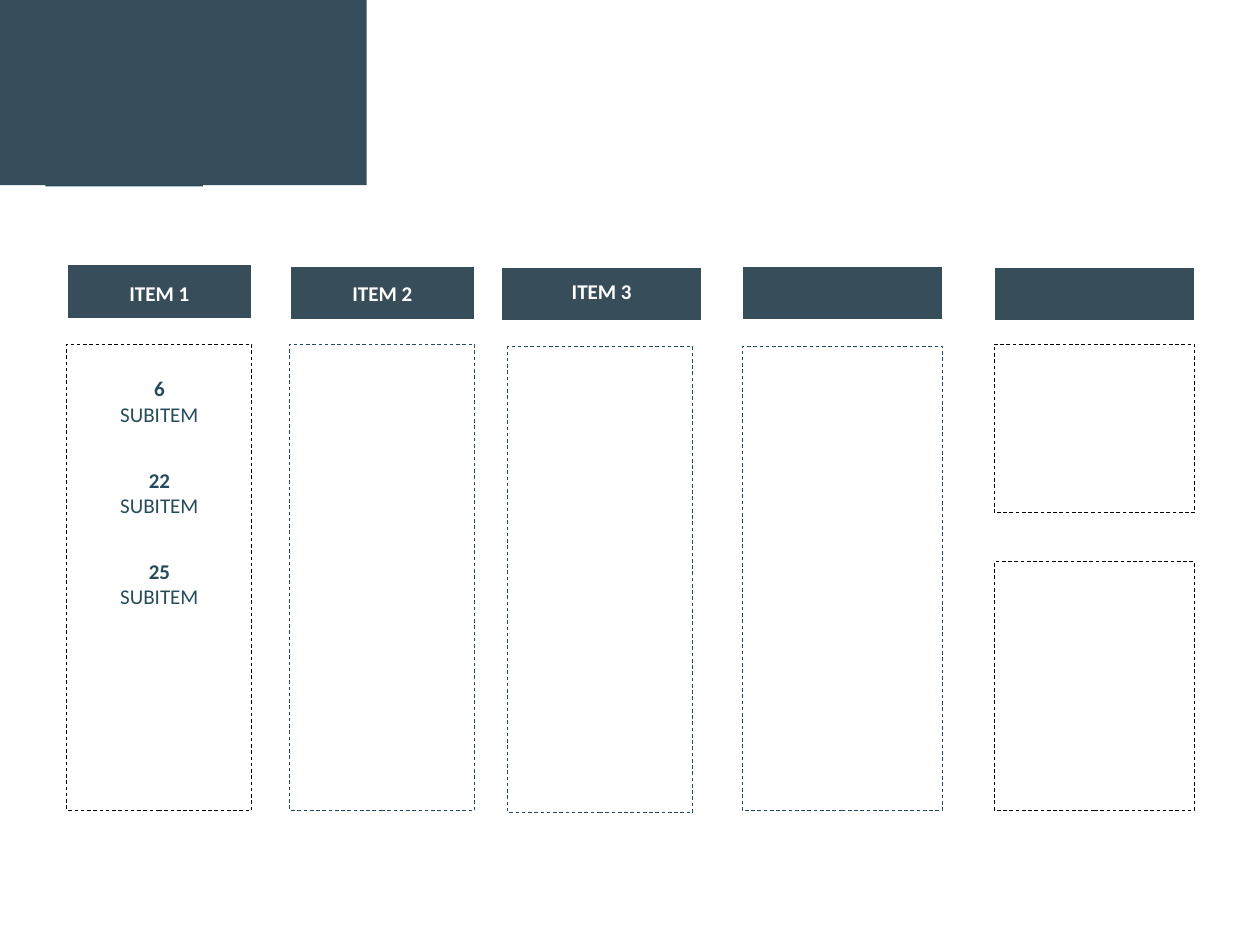
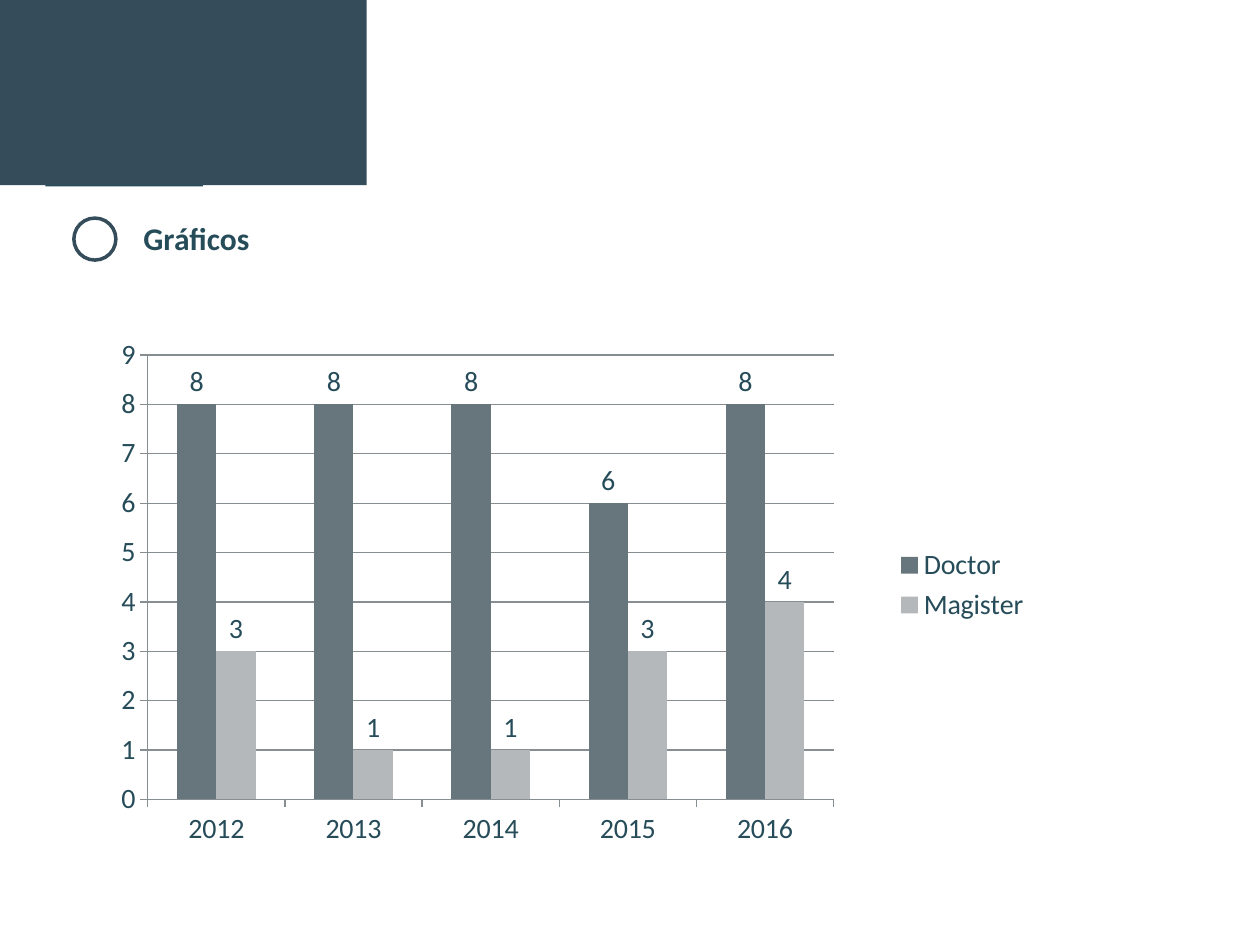
from lxml import etree
from pptx import Presentation
from pptx.chart.data import CategoryChartData
from pptx.dml.color import RGBColor
from pptx.enum.chart import XL_CHART_TYPE, XL_LABEL_POSITION, XL_LEGEND_POSITION, XL_TICK_MARK
from pptx.enum.dml import MSO_LINE
from pptx.enum.shapes import MSO_SHAPE
from pptx.enum.text import MSO_ANCHOR, PP_ALIGN
from pptx.oxml.ns import qn
from pptx.util import Pt

RECT, OVAL = MSO_SHAPE.RECTANGLE, MSO_SHAPE.OVAL
DASH, TOP = MSO_LINE.DASH, MSO_ANCHOR.TOP
LEFT, CENTER = PP_ALIGN.LEFT, PP_ALIGN.CENTER
COLUMN, RIGHT = XL_CHART_TYPE.COLUMN_CLUSTERED, XL_LEGEND_POSITION.RIGHT
ABOVE, OUT = XL_LABEL_POSITION.OUTSIDE_END, XL_TICK_MARK.OUTSIDE
FONT = "Calibri"
COLORS = {
    "band": "354D5A", "head": "374D59", "ink": "264C59", "white": "FFFFFF",
    "black": "000000", "doctor": "67757C", "master": "B5B8BB", "grid": "868E92",
}
COLUMNS = [
    {"head": (38.2, 151.2, 105.8), "boxes": [(38.2, 196.6, 105.8, 266.4)],
     "line": "black", "label": ("ITEM 1", 157)},
    {"head": (165.6, 152, 105.8), "boxes": [(165.6, 196.6, 105.8, 266.4)],
     "line": "ink", "label": ("ITEM 2", 157)},
    {"head": (286.6, 152.6, 114.5), "boxes": [(290.2, 198, 105.8, 266.4)],
     "line": "ink", "label": ("ITEM 3", 155.6)},
    {"head": (424.1, 152, 114.5), "boxes": [(424.1, 198, 114.5, 265)], "line": "ink"},
    {"head": (568.1, 152.6, 114.5), "line": "black",
     "boxes": [(568.1, 196.6, 114.5, 96.5), (568.1, 321.1, 114.5, 141.9)]},
]
COUNTS = ["6", "22", "25"]
YEARS = ["2012", "2013", "2014", "2015", "2016"]
SERIES = [("Doctor", [8, 8, 8, 6, 8], "doctor"), ("Magister", [3, 1, 1, 3, 4], "master")]
PLOT = {"x": 0.06, "y": 0.06, "w": 0.72, "h": 0.85}


def tint(name):
    """Return the named colour."""
    return RGBColor.from_string(COLORS[name])


def style(font, size, color, bold=False):
    """Set the face, size, colour and weight of a font."""
    font.name, font.size, font.bold = FONT, Pt(size), bold
    font.color.rgb = tint(color)


def shape(slide, box, fill=None, line=None, width=1, dash=None, kind=RECT):
    """Draw a preset shape in the box."""
    item = slide.shapes.add_shape(kind, *map(Pt, box))
    item.shadow.inherit = False
    if fill:
        item.fill.solid()
        item.fill.fore_color.rgb = tint(fill)
    else:
        item.fill.background()
    if line:
        item.line.color.rgb = tint(line)
        item.line.width = Pt(width)
        item.line.dash_style = dash
    else:
        item.line.fill.background()
    return item


def label(slide, box, text, size, color, align=LEFT):
    """Write one bold line in the box."""
    frame = slide.shapes.add_textbox(*map(Pt, box)).text_frame
    frame.word_wrap = True
    frame.text = text
    para = frame.paragraphs[0]
    para.alignment = align
    style(para.runs[0].font, size, color, True)


def page(deck):
    """Add a blank slide with the corner band."""
    slide = deck.slides.add_slide(deck.slide_layouts[6])
    shape(slide, (25.9, 58.3, 90, 48.2), "ink")
    shape(slide, (0, 0, 209.5, 105.8), "band")
    return slide


def column(slide, head, boxes, line, label_at):
    """Draw a header over its dashed boxes and return the boxes."""
    left, top, width = head
    shape(slide, (left, top, width, 31), "head", "white")
    frames = [shape(slide, box, None, line, 0.5, DASH) for box in boxes]
    if label_at:
        text, high = label_at
        wide = 62.6
        label(slide, (left + (width - wide) / 2, high, wide, 21.6), text, 12, "white", CENTER)
    return frames


def counts(box):
    """List the counts and their captions in the box."""
    frame = box.text_frame
    frame.word_wrap = True
    frame.vertical_anchor = TOP
    frame.margin_top = Pt(18.2)
    frame.text = "\n".join(f"{count}\nSUBITEM" for count in COUNTS)
    for spot, para in enumerate(frame.paragraphs):
        para.alignment = CENTER
        first = spot % 2 == 0
        if first and spot:
            para.space_before = Pt(23.4)
        style(para.runs[0].font, 12, "ink", first)


def items(deck):
    """Build the slide of item columns."""
    slide = page(deck)
    drawn = [column(slide, col["head"], col["boxes"], col["line"], col.get("label"))
             for col in COLUMNS]
    counts(drawn[0][0])


def place(chart):
    """Fix the inner plot area of the chart."""
    area = chart.plots[0]._element.getparent()
    for old in area.findall(qn("c:layout")):
        area.remove(old)
    layout = etree.Element(qn("c:layout"))
    manual = etree.SubElement(layout, qn("c:manualLayout"))
    parts = {"layoutTarget": "inner", "xMode": "edge", "yMode": "edge", **PLOT}
    for name, value in parts.items():
        etree.SubElement(manual, qn(f"c:{name}")).set("val", str(value))
    area.insert(0, layout)


def bars(slide, box):
    """Draw the clustered columns in the box."""
    data = CategoryChartData()
    data.categories = YEARS
    for name, values, _ in SERIES:
        data.add_series(name, values)
    chart = slide.shapes.add_chart(COLUMN, *map(Pt, box), data).chart
    style(chart.font, 16, "ink")
    chart.has_title = False
    chart.has_legend = True
    chart.legend.position = RIGHT
    chart.legend.include_in_layout = False
    plot = chart.plots[0]
    plot.gap_width, plot.overlap = 150, 0
    plot.vary_by_categories = False
    plot.has_data_labels = True
    plot.data_labels.show_value = True
    plot.data_labels.position = ABOVE
    for series, (_, _, color) in zip(plot.series, SERIES):
        series.format.fill.solid()
        series.format.fill.fore_color.rgb = tint(color)
    scale = chart.value_axis
    scale.minimum_scale, scale.maximum_scale, scale.major_unit = 0, 9, 1
    scale.has_major_gridlines = True
    for axis in (scale, chart.category_axis):
        axis.major_tick_mark = OUT
    for part in (scale, chart.category_axis, scale.major_gridlines):
        part.format.line.color.rgb = tint("grid")
        part.format.line.width = Pt(0.75)
    place(chart)


def graph(deck):
    """Build the slide of the chart."""
    slide = page(deck)
    bars(slide, (51.8, 185, 544.3, 298.8))
    shape(slide, (42.2, 124.6, 24, 24), None, "band", 2, kind=OVAL)
    label(slide, (74.9, 121.7, 591, 28.8), "Gráficos", 18, "ink")


def main():
    """Build and save the deck."""
    deck = Presentation()
    deck.slide_width, deck.slide_height = Pt(720), Pt(540)
    items(deck)
    graph(deck)
    deck.save("out.pptx")


if __name__ == "__main__":
    main()
